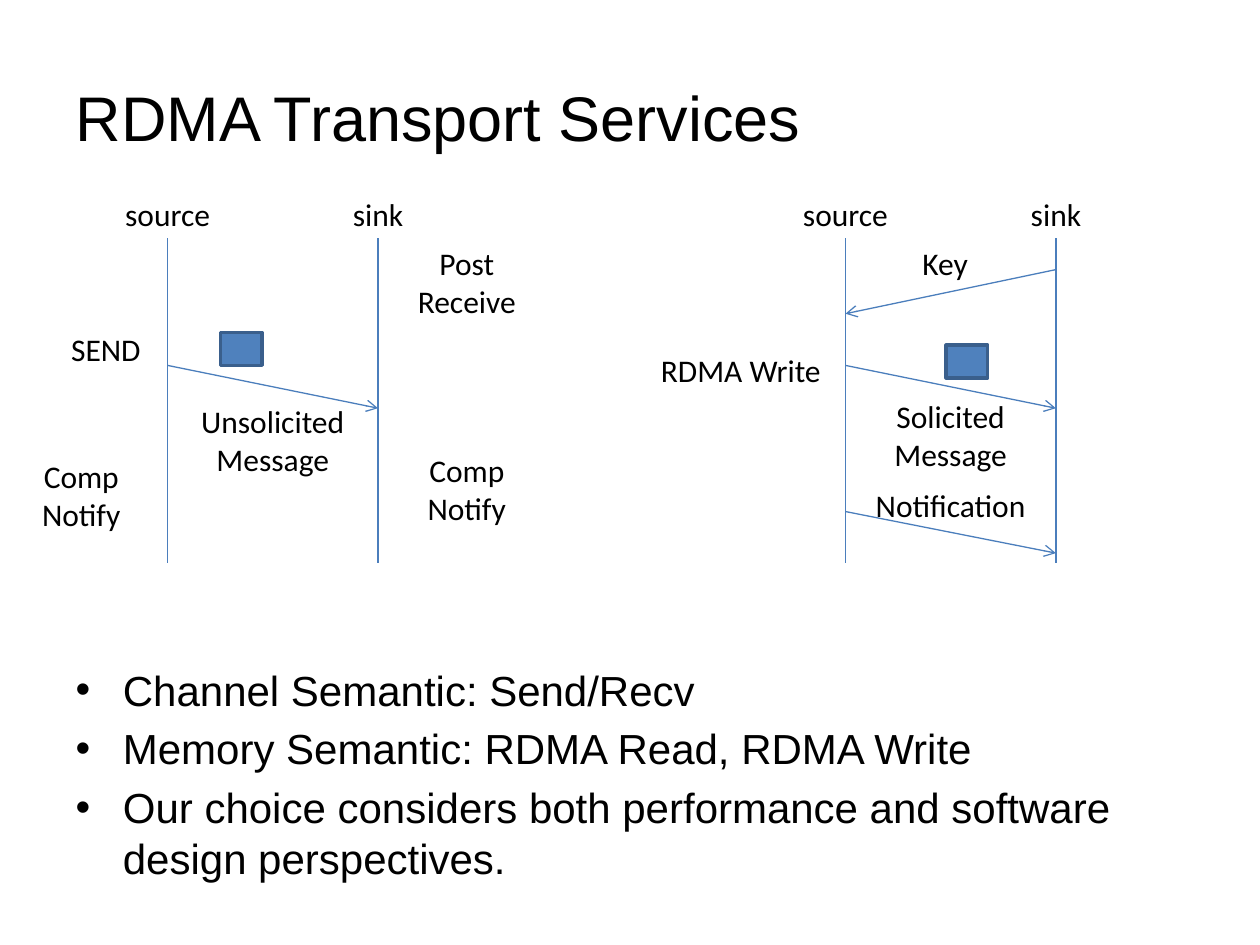
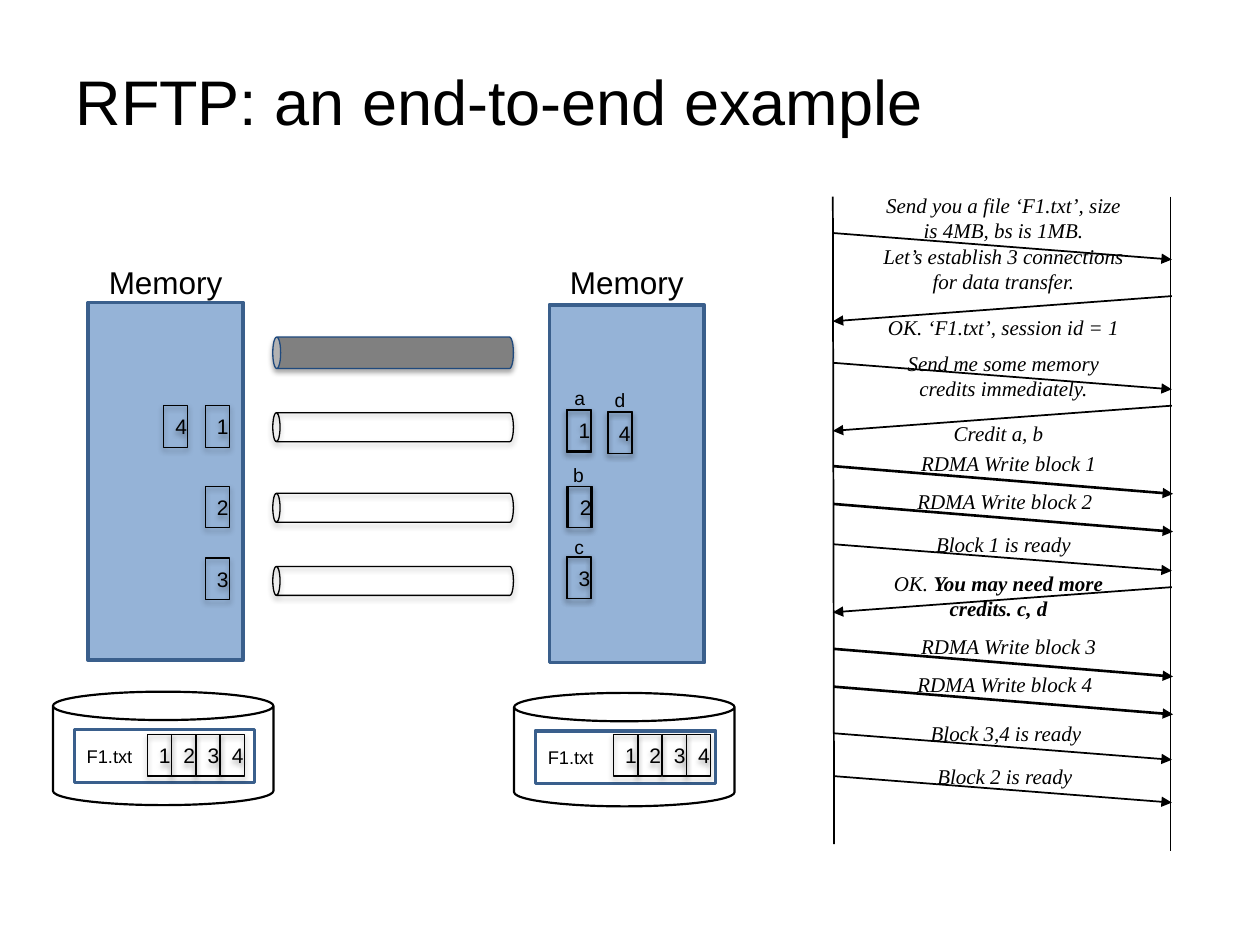
from dataclasses import dataclass
from enum import Enum
from typing import Optional, Sequence

import lxml.etree
import pptx
import pptx.dml.color
import pptx.enum.shapes
import pptx.enum.text
import pptx.oxml.ns
import pptx.shapes.autoshape
import pptx.slide
import pptx.text.text
import pptx.util

Inches = pptx.util.Inches
Pt = pptx.util.Pt
RGB = pptx.dml.color.RGBColor
Align = pptx.enum.text.PP_ALIGN
Anchor = pptx.enum.text.MSO_ANCHOR
Preset = pptx.enum.shapes.MSO_SHAPE
qn = pptx.oxml.ns.qn


# ---- Theme and descriptions of repeated parts ----
@dataclass(frozen=True)
class TextStyle:
    font: str
    size: float
    italic: bool = False


@dataclass(frozen=True)
class Theme:
    black: RGB = RGB(0, 0, 0)
    blue: RGB = RGB(0x4F, 0x81, 0xBD)
    blue_edge: RGB = RGB(0x3A, 0x5F, 0x8C)
    blue_line: RGB = RGB(0x4B, 0x7E, 0xBC)
    memory: RGB = RGB(0x95, 0xB3, 0xD7)
    control: RGB = RGB(0x80, 0x80, 0x80)
    control_edge: RGB = RGB(0x1F, 0x49, 0x7D)
    title: TextStyle = TextStyle("Arial", 36)
    body: TextStyle = TextStyle("Arial", 24)
    label: TextStyle = TextStyle("Calibri", 18)
    heading: TextStyle = TextStyle("Arial", 18)
    block: TextStyle = TextStyle("Arial", 12)
    credit: TextStyle = TextStyle("Arial", 11)
    file: TextStyle = TextStyle("Arial", 10.5)
    message: TextStyle = TextStyle("Times New Roman", 12, True)


THEME = Theme()


@dataclass(frozen=True)
class Box:
    left: float
    top: float
    width: float
    height: float

    def lengths(self) -> list[int]:
        return [Inches(v) for v in (self.left, self.top, self.width, self.height)]


@dataclass(frozen=True)
class Run:
    text: str
    bold: bool = False


@dataclass(frozen=True)
class Label:
    text: str
    box: Box


@dataclass(frozen=True)
class Signal:
    """An arrow between the lifelines of an exchange."""
    start: float
    end: float
    to_sink: bool = True


class Kind(Enum):
    """Arrow of a message: from x, to x, drop, line width."""
    REQUEST = (6.62, 9.3, 0.21, 1)
    REPLY = (9.3, 6.61, 0.2, 1)
    WRITE = (6.62, 9.31, 0.22, 1.5)


@dataclass(frozen=True)
class Message:
    kind: Kind
    arrow_top: float
    left: float
    top: float
    paragraphs: tuple[tuple[Run, ...], ...]
    lines: int = 1


@dataclass(frozen=True)
class Block:
    number: str
    left: float
    top: float


# ---- Drawing helpers ----
def write(frame: pptx.text.text.TextFrame, paragraphs: Sequence[Sequence[Run]],
          style: TextStyle, align: Align = Align.LEFT) -> None:
    for index, runs in enumerate(paragraphs):
        paragraph = frame.paragraphs[0] if index == 0 else frame.add_paragraph()
        paragraph.alignment = align
        for part in runs:
            run = paragraph.add_run()
            run.text = part.text
            run.font.name = style.font
            run.font.size = Pt(style.size)
            run.font.italic = style.italic
            run.font.bold = part.bold
            run.font.color.rgb = THEME.black


def add_label(slide: pptx.slide.Slide, box: Box, paragraphs: Sequence[Sequence[Run]],
              style: TextStyle, align: Align = Align.CENTER) -> None:
    frame = slide.shapes.add_textbox(*box.lengths()).text_frame
    frame.word_wrap = True
    frame.auto_size = pptx.enum.text.MSO_AUTO_SIZE.SHAPE_TO_FIT_TEXT
    write(frame, paragraphs, style, align)


def add_line(slide: pptx.slide.Slide, start: tuple[float, float], end: tuple[float, float],
             color: RGB, width: float, head: Optional[str] = None) -> None:
    ends = [Inches(v) for v in (*start, *end)]
    line = slide.shapes.add_connector(pptx.enum.shapes.MSO_CONNECTOR.STRAIGHT, *ends)
    line.line.color.rgb = color
    line.line.width = Pt(width)
    properties = line.element.spPr
    if head:
        lxml.etree.SubElement(properties.find(qn("a:ln")), qn("a:tailEnd"), type=head)
    lxml.etree.SubElement(properties, qn("a:effectLst"))


def add_figure(slide: pptx.slide.Slide, preset: Preset, box: Box, edge: RGB, width: float,
               fill: Optional[RGB] = None, shadow: bool = False) -> pptx.shapes.autoshape.Shape:
    figure = slide.shapes.add_shape(preset, *box.lengths())
    figure.line.color.rgb = edge
    figure.line.width = Pt(width)
    if fill is None:
        figure.fill.background()
    else:
        figure.fill.solid()
        figure.fill.fore_color.rgb = fill
    figure.shadow.inherit = False
    if shadow:
        effects = figure.element.spPr.find(qn("a:effectLst"))
        outer = lxml.etree.SubElement(effects, qn("a:outerShdw"), blurRad=str(Pt(3.1)),
                                      dist=str(Pt(1.8)), dir="5400000", rotWithShape="0")
        tint = lxml.etree.SubElement(outer, qn("a:srgbClr"), val=str(THEME.black))
        lxml.etree.SubElement(tint, qn("a:alpha"), val="35000")
    return figure


def add_block(slide: pptx.slide.Slide, block: Block) -> None:
    figure = add_figure(slide, Preset.RECTANGLE, Box(block.left, block.top, 0.19, 0.33),
                        THEME.black, 0.75, shadow=True)
    if block.number:
        write(figure.text_frame, [[Run(block.number)]], THEME.block, Align.CENTER)


def add_titled_slide(deck, layout: int, title: str, top: float) -> pptx.slide.Slide:
    slide = deck.slides.add_slide(deck.slide_layouts[layout])
    heading = slide.shapes.title
    heading.left, heading.top, heading.width, heading.height = Box(0.5, top, 9, 1.25).lengths()
    heading.text_frame.vertical_anchor = Anchor.MIDDLE
    write(heading.text_frame, [[Run(title)]], THEME.title)
    return slide


# ---- Slide 1: the two kinds of exchange ----
def draw_exchange(slide: pptx.slide.Slide, source: float, signals: Sequence[Signal],
                  labels: Sequence[Label], packet: Box) -> None:
    sink = source + 1.67
    for name, x in (("source", source), ("sink", sink)):
        add_line(slide, (x, 1.89), (x, 4.47), THEME.blue_line, 0.75)
        add_label(slide, Box(x - 0.46, 1.5, 0.92, 0.4), [[Run(name)]], THEME.label)
    for signal in signals:
        first, last = (source, sink) if signal.to_sink else (sink, source)
        add_line(slide, (first, signal.start), (last, signal.end), THEME.blue_line, 0.75, "arrow")
    for label in labels:
        add_label(slide, label.box, [[Run(label.text)]], THEME.label)
    add_figure(slide, Preset.RECTANGLE, packet, THEME.blue_edge, 2, THEME.blue)


def build_services(deck) -> None:
    slide = add_titled_slide(deck, 1, "RDMA Transport Services", 0.3)
    semantics = slide.placeholders[1]
    (semantics.left, semantics.top,
     semantics.width, semantics.height) = Box(0.5, 5.22, 9, 1.78).lengths()
    semantics.text_frame.auto_size = pptx.enum.text.MSO_AUTO_SIZE.NONE
    write(semantics.text_frame, [
        [Run("Channel Semantic: Send/Recv")],
        [Run("Memory Semantic: RDMA Read, RDMA Write")],
        [Run("Our choice considers both performance and software design perspectives.")],
    ], THEME.body)

    draw_exchange(slide, 1.33, [Signal(2.9, 3.24)], [
        Label("SEND", Box(0.38, 2.57, 0.92, 0.4)),
        Label("Post Receive", Box(3.08, 1.89, 1.25, 0.71)),
        Label("Comp Notify", Box(3.08, 3.53, 1.25, 0.71)),
        Label("Comp Notify", Box(0.02, 3.58, 1.25, 0.71)),
        Label("Unsolicited Message", Box(1.33, 3.14, 1.67, 0.71)),
    ], Box(1.75, 2.64, 0.33, 0.26))
    draw_exchange(slide, 6.71, [Signal(2.14, 2.49, False), Signal(2.9, 3.24), Signal(4.06, 4.39)], [
        Label("RDMA Write", Box(5.11, 2.74, 1.54, 0.4)),
        Label("Key", Box(7.04, 1.89, 0.92, 0.4)),
        Label("Notification", Box(6.71, 3.81, 1.67, 0.4)),
        Label("Solicited Message", Box(6.71, 3.1, 1.67, 0.71)),
    ], Box(7.51, 2.74, 0.33, 0.26))


# ---- Slide 2: a file transfer from end to end ----
MESSAGES = [
    Message(Kind.REQUEST, 1.85, 6.88, 1.48,
            ((Run("Send you a file ‘F1.txt’, size is 4MB, bs is 1MB."),),
             (Run("Let’s establish 3 connections for data transfer."),)), 4),
    Message(Kind.REPLY, 2.35, 6.88, 2.45, ((Run("OK. ‘F1.txt’, session id = 1"),),)),
    Message(Kind.REQUEST, 2.88, 6.88, 2.73,
            ((Run("Send me some memory credits immediately."),),), 2),
    Message(Kind.REPLY, 3.22, 6.84, 3.29, ((Run("Credit a, b"),),)),
    Message(Kind.WRITE, 3.7, 6.92, 3.53, ((Run("RDMA Write block 1"),),)),
    Message(Kind.WRITE, 4, 6.89, 3.83, ((Run("RDMA Write block 2"),),)),
    Message(Kind.REQUEST, 4.32, 6.88, 4.17, ((Run("Block 1 is ready"),),)),
    Message(Kind.REPLY, 4.66, 6.84, 4.48,
            ((Run("OK. "), Run("You may need more credits. c, d", True)),), 2),
    Message(Kind.WRITE, 5.15, 6.92, 4.98, ((Run("RDMA Write block 3"),),)),
    Message(Kind.WRITE, 5.45, 6.89, 5.28, ((Run("RDMA Write block 4"),),)),
    Message(Kind.REQUEST, 5.82, 6.9, 5.67, ((Run("Block 3,4 is ready"),),)),
    Message(Kind.REQUEST, 6.16, 6.89, 6.01, ((Run("Block 2 is ready"),),)),
]
SENT = [Block("1", 1.63, 3.22), Block("2", 1.63, 3.86), Block("3", 1.63, 4.43),
        Block("4", 1.3, 3.22)]
SLOTS = [Block("", 4.5, 3.26), Block("", 4.5, 3.86), Block("", 4.5, 4.42), Block("", 4.83, 3.27)]
RECEIVED = [Block("1", 4.5, 3.25), Block("2", 4.51, 3.86), Block("3", 4.5, 4.42),
            Block("4", 4.82, 3.27)]
CREDITS = {"a": (4.46, 3.02), "b": (4.45, 3.63), "c": (4.46, 4.2), "d": (4.78, 3.03)}


def draw_host(slide: pptx.slide.Slide, memory: Box, disk: Box, first_block: float) -> None:
    """Memory above a disk that holds the file and its four blocks."""
    file = add_figure(slide, Preset.RECTANGLE, Box(disk.left + 0.17, disk.top + 0.3, 1.43, 0.42),
                      THEME.blue_edge, 2)
    write(file.text_frame, [[Run("F1.txt")]], THEME.file)
    add_figure(slide, Preset.CAN, disk, THEME.black, 1.25)
    add_figure(slide, Preset.RECTANGLE, memory, THEME.blue_edge, 2, THEME.memory)
    add_label(slide, Box(memory.left, 2.04, memory.width, 0.4), [[Run("Memory")]], THEME.heading)
    for index in range(4):
        add_block(slide, Block(str(index + 1), first_block + index * 0.193, 5.83))


def draw_pipe(slide: pptx.slide.Slide, middle: float, thickness: float, edge: RGB,
              fill: Optional[RGB] = None) -> None:
    length = 1.91
    box = Box(3.12 - thickness / 2, middle - length / 2, thickness, length)
    pipe = add_figure(slide, Preset.CAN, box, edge, 0.75, fill, shadow=True)
    pipe.rotation = 270


def build_example(deck) -> None:
    slide = add_titled_slide(deck, 5, "RFTP: an end-to-end example", 0.17)
    draw_host(slide, Box(0.7, 2.4, 1.23, 2.84), Box(0.42, 5.49, 1.75, 0.9), 1.17)
    draw_host(slide, Box(4.36, 2.42, 1.23, 2.84), Box(4.08, 5.5, 1.75, 0.9), 4.87)

    # One control connection and three data connections
    draw_pipe(slide, 2.8, 0.25, THEME.control_edge, THEME.control)
    for middle in (3.39, 4.03, 4.61):
        draw_pipe(slide, middle, 0.23, THEME.black)

    # Blocks in memory and the credits they use
    for block in SENT + SLOTS + RECEIVED:
        add_block(slide, block)
    for credit, (left, top) in CREDITS.items():
        add_label(slide, Box(left, top, 0.33, 0.29), [[Run(credit)]], THEME.credit, Align.LEFT)

    # Message sequence
    add_line(slide, (6.61, 1.56), (6.62, 6.7), THEME.black, 1)
    add_line(slide, (9.29, 1.56), (9.29, 6.75), THEME.black, 1)
    for message in MESSAGES:
        start, end, drop, width = message.kind.value
        add_line(slide, (start, message.arrow_top), (end, message.arrow_top + drop),
                 THEME.black, width, "triangle")
        add_label(slide, Box(message.left, message.top, 2.17, 0.1 + 0.2 * message.lines),
                  message.paragraphs, THEME.message)


presentation = pptx.Presentation()
presentation.slide_width, presentation.slide_height = Inches(10), Inches(7.5)
build_services(presentation)
build_example(presentation)
presentation.save("out.pptx")
